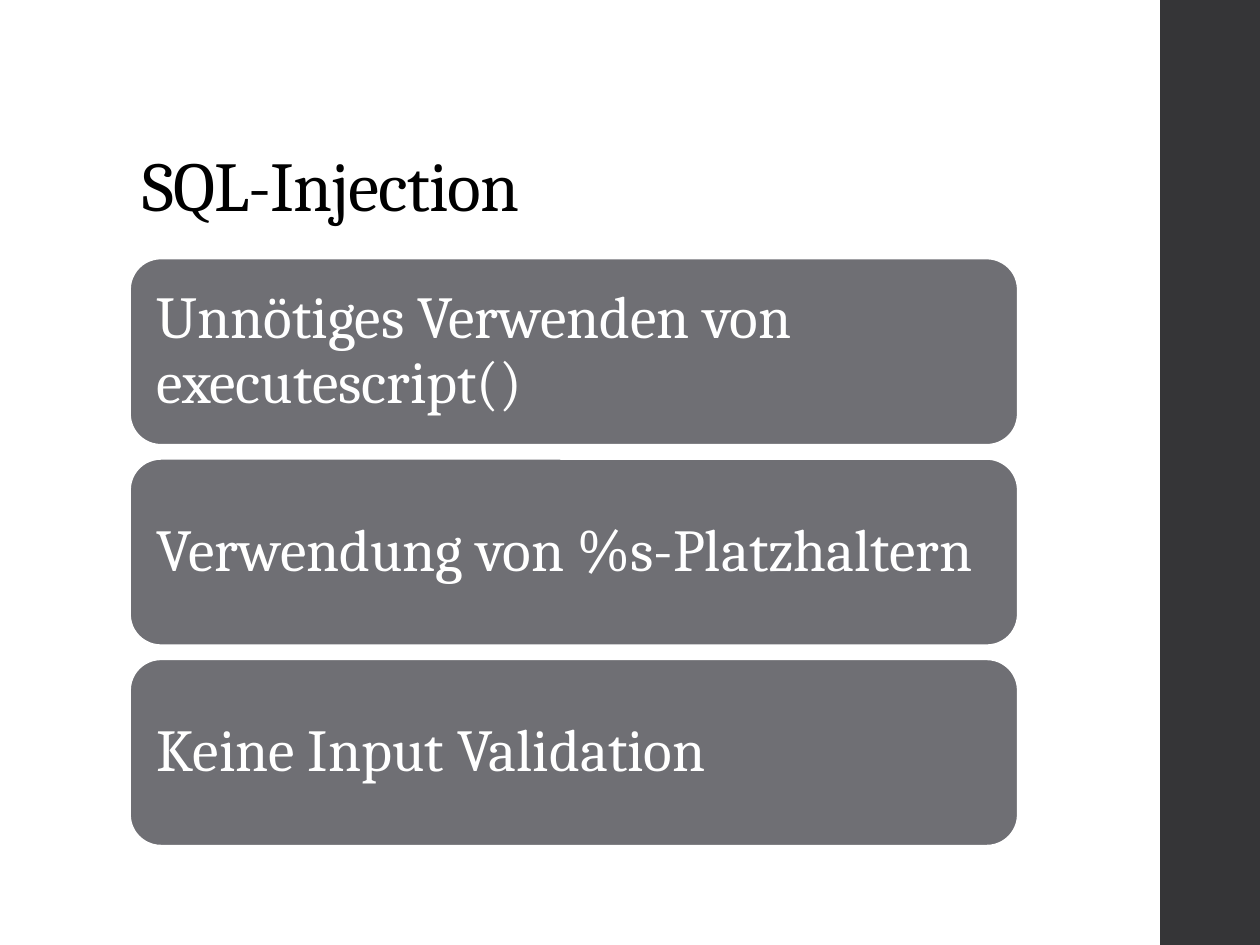
from pptx import Presentation
from pptx.dml.color import RGBColor
from pptx.enum.shapes import MSO_SHAPE
from pptx.enum.text import MSO_ANCHOR, MSO_AUTO_SIZE, PP_ALIGN
from pptx.util import Cm, Pt

# Content
TITLE = "SQL-Injection"
ITEMS = [
    "Unnötiges Verwenden von executescript()",
    "Verwendung von %s-Platzhaltern",
    "Keine Input Validation",
]

# Look
FONT = "Cambria"
BLACK = RGBColor(0x00, 0x00, 0x00)
WHITE = RGBColor(0xFF, 0xFF, 0xFF)
DARK = RGBColor(0x35, 0x35, 0x37)
GREY = RGBColor(0x6F, 0x6F, 0x74)

# Layout in cm
WIDE, HIGH = 25.4, 19.05
LEFT, TOP = 2.62, 5.21
BOX_W, BOX_H, GAP = 17.9, 3.76, 0.28
BAR_X = 23.39


def add_box(slide, kind, x, y, w, h, fill):
    box = slide.shapes.add_shape(kind, Cm(x), Cm(y), Cm(w), Cm(h))
    box.shadow.inherit = False
    box.fill.solid()
    box.fill.fore_color.rgb = fill
    return box


def write(frame, text, size, color, anchor):
    frame.word_wrap = True
    frame.auto_size = MSO_AUTO_SIZE.NONE
    frame.vertical_anchor = anchor
    para = frame.paragraphs[0]
    para.alignment = PP_ALIGN.LEFT
    para.line_spacing = 0.9
    run = para.add_run()
    run.text = text
    run.font.name = FONT
    run.font.size = Pt(size)
    run.font.color.rgb = color
    return run


def main():
    deck = Presentation()
    deck.slide_width, deck.slide_height = Cm(WIDE), Cm(HIGH)
    slide = deck.slides.add_slide(deck.slide_layouts[5])

    # Side bar
    bar = add_box(slide, MSO_SHAPE.RECTANGLE, BAR_X, 0, WIDE - BAR_X, HIGH, DARK)
    bar.line.fill.background()

    # Title
    title = slide.shapes.title
    title.left, title.top = Cm(LEFT), Cm(1.02)
    title.width, title.height = Cm(20.19), Cm(3.68)
    run = write(title.text_frame, TITLE, 40, BLACK, MSO_ANCHOR.BOTTOM)
    run.font._element.set("spc", "-50")

    # Stacked boxes
    for i, item in enumerate(ITEMS):
        y = TOP + i * (BOX_H + GAP)
        box = add_box(slide, MSO_SHAPE.ROUNDED_RECTANGLE, LEFT, y, BOX_W, BOX_H, GREY)
        box.line.color.rgb = WHITE
        box.line.width = Pt(1.1)
        frame = box.text_frame
        frame.margin_left = frame.margin_right = Cm(0.36)
        frame.margin_top = frame.margin_bottom = Cm(0.36)
        write(frame, item, 34, WHITE, MSO_ANCHOR.MIDDLE)

    deck.save("out.pptx")


if __name__ == "__main__":
    main()
